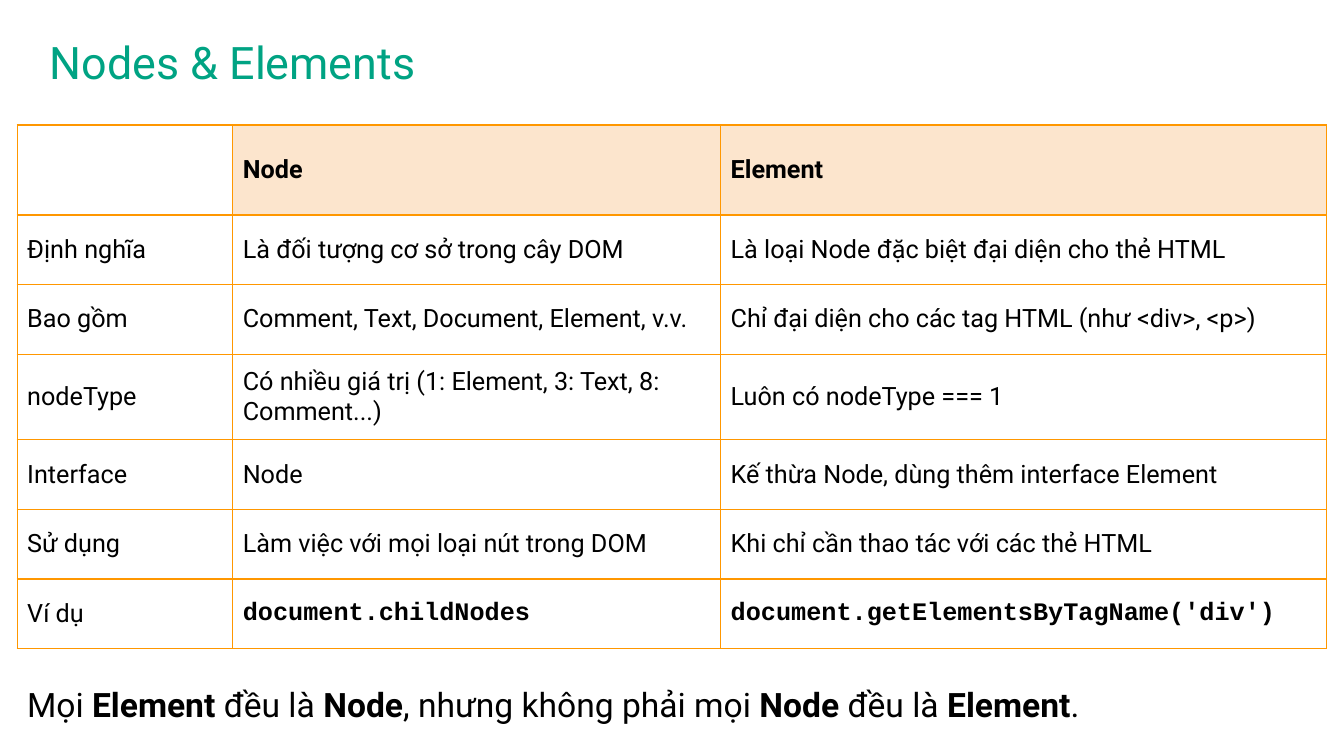
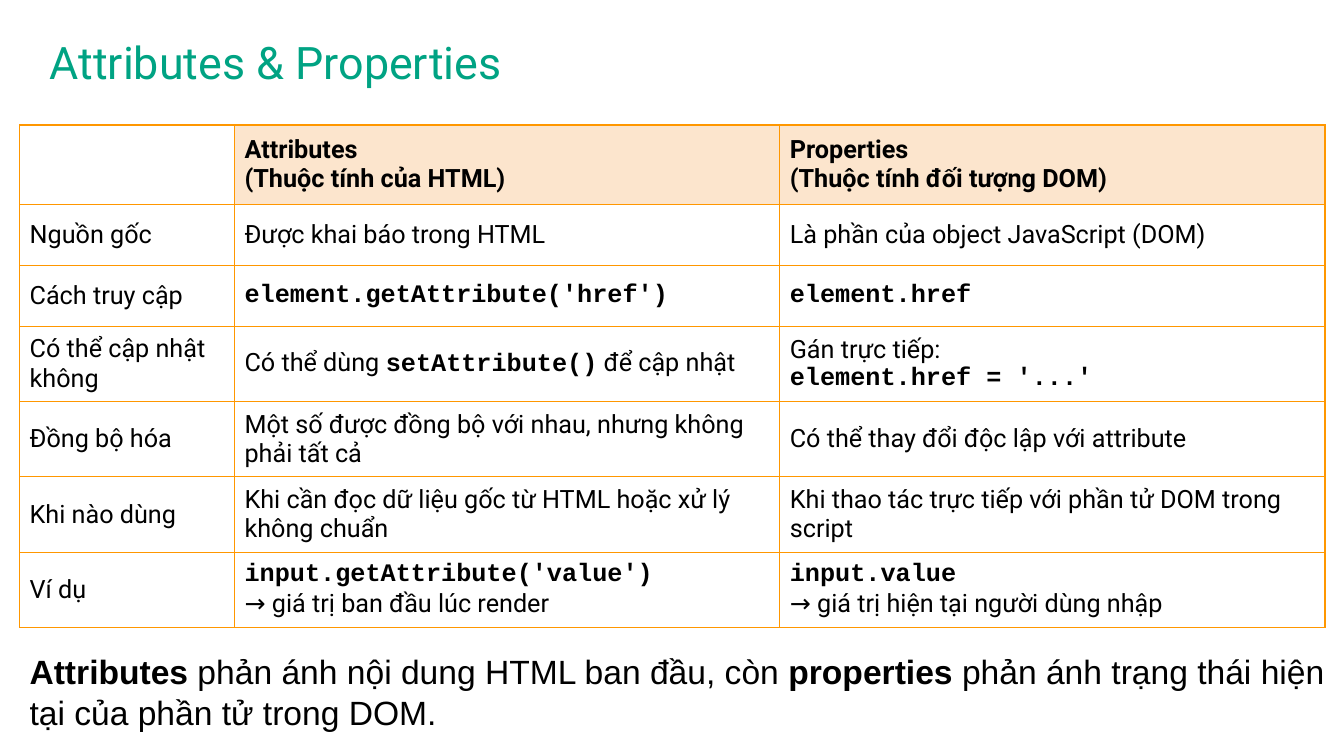
from lxml.etree import SubElement
from pptx import Presentation
from pptx.dml.color import RGBColor
from pptx.enum.text import MSO_ANCHOR, MSO_AUTO_SIZE
from pptx.oxml.ns import qn
from pptx.util import Pt

GREEN = RGBColor(0x00, 0xA3, 0x83)
ORANGE = RGBColor(0xFF, 0x97, 0x00)
PEACH = RGBColor(0xFC, 0xE5, 0xCD)
BLACK = RGBColor(0, 0, 0)
BODY_FONT, CODE_FONT = "Roboto", "Courier New"
TABLE_TOP = 89.3

# In the texts below, *stars* give bold and `backticks` give code.
SLIDES = [
    dict(
        title="Nodes & Elements",
        left=12.25,
        cols=(154, 348.5, 432.7),
        heights=(64.3, 49.7, 49.7, 61.2, 49.7, 49.7, 49.7),
        rows=[
            ("", "*Node*", "*Element*"),
            ("Định nghĩa", "Là đối tượng cơ sở trong cây DOM",
             "Là loại Node đặc biệt đại diện cho thẻ HTML"),
            ("Bao gồm", "Comment, Text, Document, Element, v.v.",
             "Chỉ đại diện cho các tag HTML (như <div>, <p>)"),
            ("nodeType", "Có nhiều giá trị (1: Element, 3: Text, 8: Comment...)",
             "Luôn có nodeType === 1"),
            ("Interface", "Node", "Kế thừa Node, dùng thêm interface Element"),
            ("Sử dụng", "Làm việc với mọi loại nút trong DOM",
             "Khi chỉ cần thao tác với các thẻ HTML"),
            ("Ví dụ", "`document.childNodes`",
             "`document.getElementsByTagName('div')`"),
        ],
        summary="Mọi *Element* đều là *Node*, nhưng không phải mọi *Node* đều là *Element*.",
        summary_font=BODY_FONT,
        summary_box=(485.3, 935.3, 36),
    ),
    dict(
        title="Attributes & Properties",
        left=14,
        cols=(153.5, 389.5, 389.5),
        heights=(56.6, 43.6, 43.6, 53.8, 53.8, 53.8, 53.8),
        rows=[
            ("", "*Attributes*\n*(Thuộc tính của HTML)*",
             "*Properties*\n*(Thuộc tính đối tượng DOM)*"),
            ("Nguồn gốc", "Được khai báo trong HTML",
             "Là phần của object JavaScript (DOM)"),
            ("Cách truy cập", "`element.getAttribute('href')`", "`element.href`"),
            ("Có thể cập nhật không", "Có thể dùng `setAttribute()` để cập nhật",
             "Gán trực tiếp:\n`element.href = '...'`"),
            ("Đồng bộ hóa", "Một số được đồng bộ với nhau, nhưng không phải tất cả",
             "Có thể thay đổi độc lập với attribute"),
            ("Khi nào dùng", "Khi cần đọc dữ liệu gốc từ HTML hoặc xử lý không chuẩn",
             "Khi thao tác trực tiếp với phần tử DOM trong script"),
            ("Ví dụ", "`input.getAttribute('value')`\n→ giá trị ban đầu lúc render",
             "`input.value`\n→ giá trị hiện tại người dùng nhập"),
        ],
        summary="*Attributes* phản ánh nội dung HTML ban đầu, còn *properties* "
                "phản ánh trạng thái hiện tại của phần tử trong DOM.",
        summary_font="Arial",
        summary_box=(461.5, 946, 65.5),
    ),
]


def write(tf, text, size=18, font=BODY_FONT, color=BLACK):
    for i, line in enumerate(text.split("\n")):
        p = tf.add_paragraph() if i else tf.paragraphs[0]
        for j, part in enumerate(line.split("`")):
            is_code = j % 2 == 1
            for k, piece in enumerate(part.split("*")):
                if not piece:
                    continue
                r = p.add_run()
                r.text = piece
                r.font.name = CODE_FONT if is_code else font
                r.font.size = Pt(size)
                r.font.bold = is_code or k % 2 == 1
                r.font.color.rgb = color


def add_text(s, text, x, y, w, h, inset=7.2, anchor=MSO_ANCHOR.TOP, **fmt):
    tf = s.shapes.add_textbox(Pt(x), Pt(y), Pt(w), Pt(h)).text_frame
    tf.word_wrap = True
    tf.auto_size = MSO_AUTO_SIZE.NONE
    tf.vertical_anchor = anchor
    tf.margin_left = tf.margin_right = Pt(inset)
    tf.margin_top = tf.margin_bottom = Pt(3.6)
    write(tf, text, **fmt)


def add_borders(cell):
    tcPr = cell._tc.get_or_add_tcPr()
    for side in ("lnL", "lnR", "lnT", "lnB"):
        ln = SubElement(tcPr, qn(f"a:{side}"), w=str(Pt(1)))
        fill = SubElement(ln, qn("a:solidFill"))
        SubElement(fill, qn("a:srgbClr"), val=str(ORANGE))


def add_comparison(s, left, cols, heights, rows):
    table = s.shapes.add_table(len(rows), len(cols), Pt(left), Pt(TABLE_TOP),
                               Pt(sum(cols)), Pt(sum(heights))).table
    table.first_row = table.horz_banding = False
    for col, width in zip(table.columns, cols):
        col.width = Pt(width)
    for i, (height, texts) in enumerate(zip(heights, rows)):
        table.rows[i].height = Pt(height)
        for j, text in enumerate(texts):
            cell = table.cell(i, j)
            add_borders(cell)
            if i == 0 and j > 0:
                cell.fill.solid()
                cell.fill.fore_color.rgb = PEACH
            else:
                cell.fill.background()
            cell.vertical_anchor = MSO_ANCHOR.MIDDLE
            cell.margin_left = cell.margin_right = Pt(7.2)
            cell.margin_top = cell.margin_bottom = Pt(3.6)
            write(cell.text_frame, text)


def main():
    prs = Presentation()
    prs.slide_width, prs.slide_height = Pt(960), Pt(540)
    for d in SLIDES:
        s = prs.slides.add_slide(prs.slide_layouts[6])
        add_text(s, d["title"], 32, 20, 864, 48.5, inset=3.6,
                 anchor=MSO_ANCHOR.MIDDLE, size=32, color=GREEN)
        add_comparison(s, d["left"], d["cols"], d["heights"], d["rows"])
        y, w, h = d["summary_box"]
        add_text(s, d["summary"], d["left"], y, w, h, size=24, font=d["summary_font"])
    prs.save("out.pptx")


if __name__ == "__main__":
    main()
